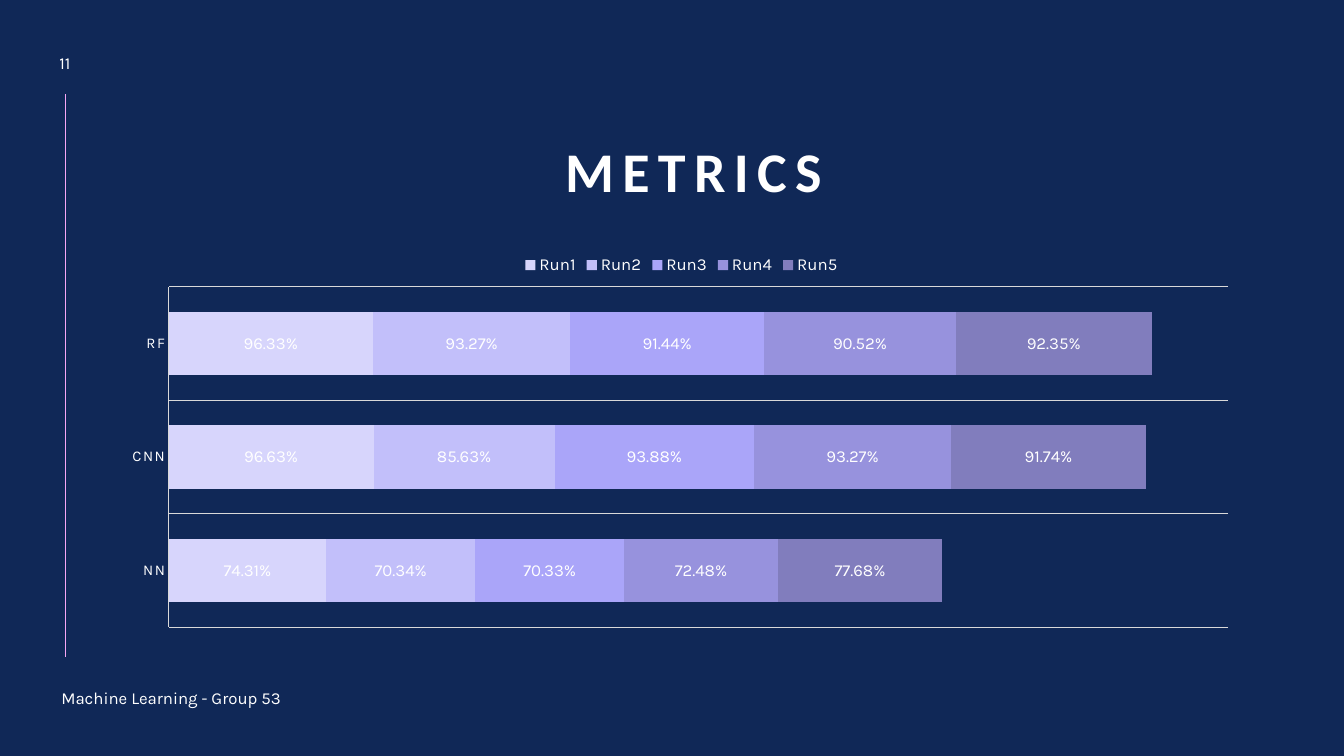
from lxml import etree
from pptx import Presentation, util as u
from pptx.chart.data import CategoryChartData
from pptx.dml.color import RGBColor
from pptx.enum import chart as ch, shapes, text
from pptx.oxml import parse_xml
from pptx.oxml.ns import nsdecls, qn

Pt = u.Pt
NAVY = RGBColor(0x10, 0x28, 0x57)
WHITE = RGBColor(0xFF, 0xFF, 0xFF)
BLACK = RGBColor(0, 0, 0)
PINK = RGBColor(0xF6, 0xA6, 0xF4)
GREY = RGBColor(0xD9, 0xD9, 0xD9)
RUN_COLORS = [
    RGBColor(0xD7, 0xD5, 0xFC),
    RGBColor(0xC2, 0xBF, 0xFA),
    RGBColor(0xAA, 0xA5, 0xF9),
    RGBColor(0x97, 0x92, 0xDD),
    RGBColor(0x81, 0x7D, 0xBD),
]

MODELS = ["NN", "CNN", "RF"]
RUNS = {
    "Run1": (0.7431, 0.9663, 0.9633),
    "Run2": (0.7034, 0.8563, 0.9327),
    "Run3": (0.7033, 0.9388, 0.9144),
    "Run4": (0.7248, 0.9327, 0.9052),
    "Run5": (0.7768, 0.9174, 0.9235),
}
PERCENT = "0.00%"
PLOT = {"x": 0.05, "y": 0.11, "w": 0.93, "h": 0.87}


class Deck:
    body = {"name": "Karla", "size": Pt(12)}

    def __init__(self, prs):
        self.s = prs.slides.add_slide(prs.slide_layouts[6])
        fill = self.s.background.fill
        fill.solid()
        fill.fore_color.rgb = NAVY

    def font(self, font, color=WHITE, **fmt):
        for key, value in {**self.body, **fmt}.items():
            setattr(font, key, value)
        font.color.rgb = color

    def stroke(self, line, color, width):
        line.color.rgb = color
        line.width = Pt(width)

    def text(self, box, words, align=text.PP_ALIGN.LEFT,
             anchor=text.MSO_ANCHOR.MIDDLE, line_spacing=1.0, spacing=0, **fmt):
        tf = self.s.shapes.add_textbox(*map(Pt, box)).text_frame
        tf.word_wrap = True
        tf.vertical_anchor = anchor
        p = tf.paragraphs[0]
        p.alignment, p.line_spacing = align, line_spacing
        r = p.add_run()
        r.text = words
        self.font(r.font, **fmt)
        if spacing:
            r.font._element.set("spc", str(spacing * 100))

    def line(self, x1, y1, x2, y2, color, width):
        sp = self.s.shapes.add_connector(
            shapes.MSO_CONNECTOR.STRAIGHT, *map(Pt, (x1, y1, x2, y2)))
        self.stroke(sp.line, color, width)
        etree.SubElement(sp._element.spPr, qn("a:effectLst"))

    def stacked_bars(self, box, categories, rows, colors):
        data = CategoryChartData(number_format=PERCENT)
        data.categories = categories
        for name, values in rows.items():
            data.add_series(name, values)
        chart = self.s.shapes.add_chart(
            ch.XL_CHART_TYPE.BAR_STACKED, *map(Pt, box), data).chart
        self.font(chart.font, BLACK, size=Pt(10))
        chart.has_title = False

        # Legend
        chart.has_legend = True
        chart.legend.position = ch.XL_LEGEND_POSITION.TOP
        chart.legend.include_in_layout = False
        self.font(chart.legend.font)

        # Axes
        cat, val = chart.category_axis, chart.value_axis
        cat.major_tick_mark = cat.minor_tick_mark = ch.XL_TICK_MARK.NONE
        self.font(cat.tick_labels.font, size=Pt(10.6))
        cat.tick_labels.font._element.set("spc", "120")
        cat.has_major_gridlines = True
        for line in (cat.format.line, cat.major_gridlines.format.line):
            self.stroke(line, GREY, 0.75)
        val.has_major_gridlines = False
        val.minimum_scale, val.maximum_scale = 0, 5
        val.visible = False

        # Bars and labels
        plot = chart.plots[0]
        plot.gap_width, plot.overlap = 79, 100
        plot.vary_by_categories = False
        for series, color in zip(plot.series, colors):
            series.format.fill.solid()
            series.format.fill.fore_color.rgb = color
            labels = series.data_labels
            labels.show_value = True
            labels.position = ch.XL_LABEL_POSITION.CENTER
            labels.number_format = PERCENT
            labels.number_format_is_linked = False
            self.font(labels.font)

        # Inner plot area
        modes = "".join(f'<c:{k}Mode val="edge"/>' for k in "xy")
        sizes = "".join(f'<c:{k} val="{v}"/>' for k, v in PLOT.items())
        area = chart._chartSpace.chart.plotArea
        for old in area.findall(qn("c:layout")):
            area.remove(old)
        area.insert(0, parse_xml(
            f'<c:layout {nsdecls("c")}><c:manualLayout>'
            f'<c:layoutTarget val="inner"/>{modes}{sizes}'
            '</c:manualLayout></c:layout>'))


def main():
    prs = Presentation()
    prs.slide_width, prs.slide_height = Pt(960), Pt(540)
    deck = Deck(prs)
    center = text.PP_ALIGN.CENTER

    # Side rule, title and page number
    deck.line(46.8, 67, 46.8, 469.4, PINK, 0.5)
    deck.text((67, 65.5, 856.8, 84.2), "METRICS", center,
              text.MSO_ANCHOR.BOTTOM, 0.9, 6,
              name="Calibri", size=Pt(40), bold=True)
    deck.text((25.9, 32.4, 41, 24.5), "11", center)

    # Scores per model and run
    deck.stacked_bars((79.9, 174.2, 813.6, 279.4), MODELS, RUNS, RUN_COLORS)

    # Footer
    deck.text((36.7, 487.4, 183.6, 21.6), "Machine Learning - Group 53")
    prs.save("out.pptx")


if __name__ == "__main__":
    main()
